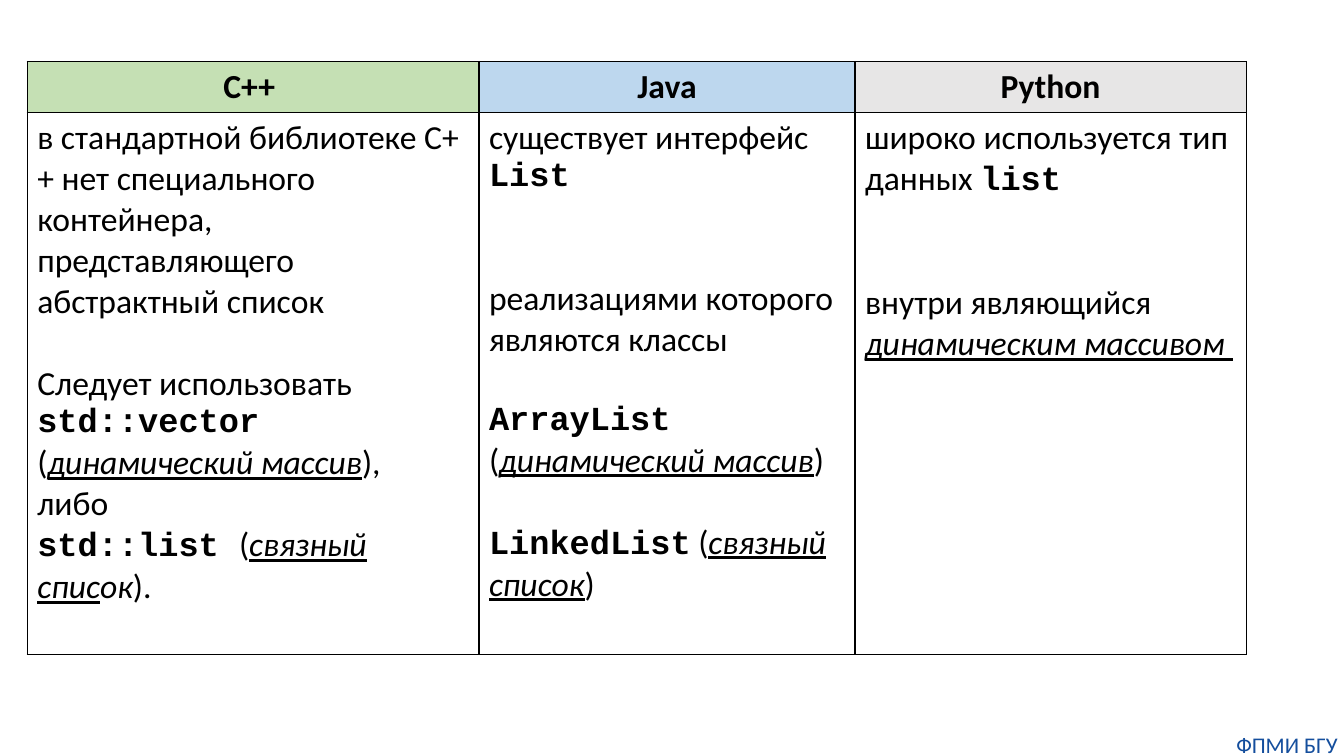
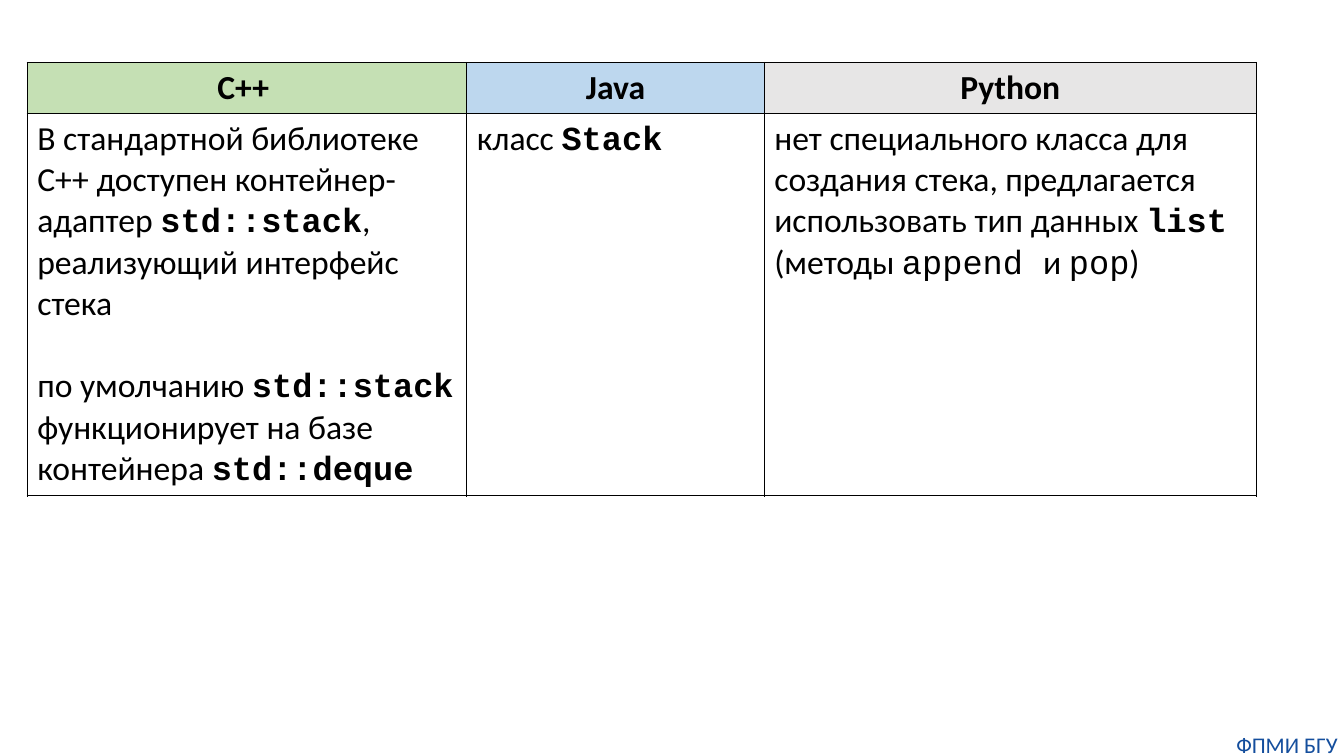
from dataclasses import dataclass

from lxml.etree import SubElement
from pptx import Presentation
from pptx.dml.color import RGBColor
from pptx.enum.text import PP_ALIGN
from pptx.oxml.ns import qn
from pptx.util import Inches, Pt


@dataclass(frozen=True)
class Theme:
    text: str = "000000"
    border: str = "000000"
    footer: str = "144E9D"
    header_fills: tuple = ("C5E0B4", "BDD7EE", "E7E6E6")
    body_font: str = "Calibri"
    code_font: str = "Courier New"
    table_size: int = 24
    footer_size: int = 16
    border_width: int = 1
    line_gap: float = 29.3  # height of one table line, in points


THEME = Theme()

# Run styles: what differs from the paragraph's font
PLAIN = {}
CODE = {"name": THEME.code_font, "bold": True}
METHOD = {"name": THEME.code_font}
TERM = {"italic": True, "underline": True}
ITALIC = {"italic": True}

# Content: each cell is a list of (lines of gap before, runs)
LANGUAGES = ("C++ ", "Java", "Python")
FOOTER = "ФПМИ БГУ"

LISTS = {
    "top": 0.61,
    "columns": (4.48, 3.73, 3.88),
    "rows": (0.51, 5.37),
    "cells": (
        [
            (0, [("в стандартной библиотеке С++ нет специального контейнера, "
                  "представляющего абстрактный список", PLAIN)]),
            (1, [("Следует использовать", PLAIN)]),
            (0, [("std::vector ", CODE), ("(", PLAIN),
                 ("динамический массив", TERM), ("),", PLAIN)]),
            (0, [("либо", PLAIN)]),
            (0, [("std::list ", CODE), ("(", PLAIN), ("связный спис", TERM),
                 ("ок", ITALIC), (").", PLAIN)]),
        ],
        [
            (0, [("существует интерфейс ", PLAIN), ("List", CODE)]),
            (2, [("реализациями которого являются классы", PLAIN)]),
            (1, [("ArrayList ", CODE), ("(", PLAIN),
                 ("динамический массив", TERM), (")", PLAIN)]),
            (1, [("LinkedList", CODE), (" (", PLAIN),
                 ("связный список", TERM), (")", PLAIN)]),
        ],
        [
            (0, [("широко используется тип данных ", PLAIN), ("list", CODE)]),
            (2, [("внутри являющийся ", PLAIN),
                 ("динамическим массивом ", TERM)]),
        ],
    ),
}

STACKS = {
    "top": 0.62,
    "columns": (4.36, 2.95, 4.88),
    "rows": (0.51, 3.79),
    "cells": (
        [
            (0, [("В стандартной библиотеке С++ доступен контейнер-адаптер ", PLAIN),
                 ("std::stack", CODE), (", реализующий интерфейс стека", PLAIN)]),
            (1, [("по умолчанию ", PLAIN), ("std::stack ", CODE),
                 ("функционирует на базе контейнера ", PLAIN),
                 ("std::deque", CODE)]),
        ],
        [
            (0, [("класс ", PLAIN), ("Stack", CODE)]),
        ],
        [
            (0, [("нет специального класса для создания стека, предлагается "
                  "использовать тип данных ", PLAIN),
                 ("list ", CODE), ("(методы ", PLAIN), ("append ", METHOD),
                 ("и ", PLAIN), ("pop", METHOD), (")", PLAIN)]),
        ],
    ),
}

# Layout
SLIDE_SIZE = (13.33, 7.5)
TABLE_LEFT = 0.27
FOOTER_BOX = (12.2, 7.25, 1.13, 0.27)


def set_font(font, size, color, bold=False):
    font.name = THEME.body_font
    font.size = Pt(size)
    font.bold = bold
    font.color.rgb = RGBColor.from_string(color)


def add_borders(cell):
    properties = cell._tc.get_or_add_tcPr()
    for side in ("lnL", "lnR", "lnT", "lnB"):
        line = SubElement(properties, qn(f"a:{side}"), w=str(Pt(THEME.border_width)))
        fill = SubElement(line, qn("a:solidFill"))
        SubElement(fill, qn("a:srgbClr"), val=THEME.border)


def fill_header(cell, language, color):
    add_borders(cell)
    cell.fill.solid()
    cell.fill.fore_color.rgb = RGBColor.from_string(color)
    heading = cell.text_frame.paragraphs[0]
    heading.text = language
    heading.alignment = PP_ALIGN.CENTER
    set_font(heading.font, THEME.table_size, THEME.text, bold=True)


def fill_body(cell, paragraphs):
    add_borders(cell)
    cell.fill.background()
    frame = cell.text_frame
    for index, (gap_lines, runs) in enumerate(paragraphs):
        paragraph = frame.add_paragraph() if index else frame.paragraphs[0]
        paragraph.space_before = Pt(gap_lines * THEME.line_gap)
        set_font(paragraph.font, THEME.table_size, THEME.text)
        for text, style in runs:
            run = paragraph.add_run()
            run.text = text
            for attribute, value in style.items():
                setattr(run.font, attribute, value)


def add_comparison(slide, comparison):
    columns, rows = comparison["columns"], comparison["rows"]
    table = slide.shapes.add_table(
        len(rows), len(columns), Inches(TABLE_LEFT), Inches(comparison["top"]),
        Inches(sum(columns)), Inches(sum(rows))).table
    table.first_row = table.horz_banding = False
    for row, height in zip(table.rows, rows):
        row.height = Inches(height)
    for index, width in enumerate(columns):
        table.columns[index].width = Inches(width)
        fill_header(table.cell(0, index), LANGUAGES[index], THEME.header_fills[index])
        fill_body(table.cell(1, index), comparison["cells"][index])


def add_footer(slide):
    frame = slide.shapes.add_textbox(*map(Inches, FOOTER_BOX)).text_frame
    frame.word_wrap = True
    frame.margin_left = frame.margin_right = 0
    frame.margin_top = frame.margin_bottom = 0
    credit = frame.paragraphs[0]
    credit.text = FOOTER
    credit.alignment = PP_ALIGN.CENTER
    set_font(credit.font, THEME.footer_size, THEME.footer)


def main():
    deck = Presentation()
    deck.slide_width, deck.slide_height = map(Inches, SLIDE_SIZE)
    for comparison in (LISTS, STACKS):
        slide = deck.slides.add_slide(deck.slide_layouts[6])
        add_comparison(slide, comparison)
        add_footer(slide)
    deck.save("out.pptx")


if __name__ == "__main__":
    main()
